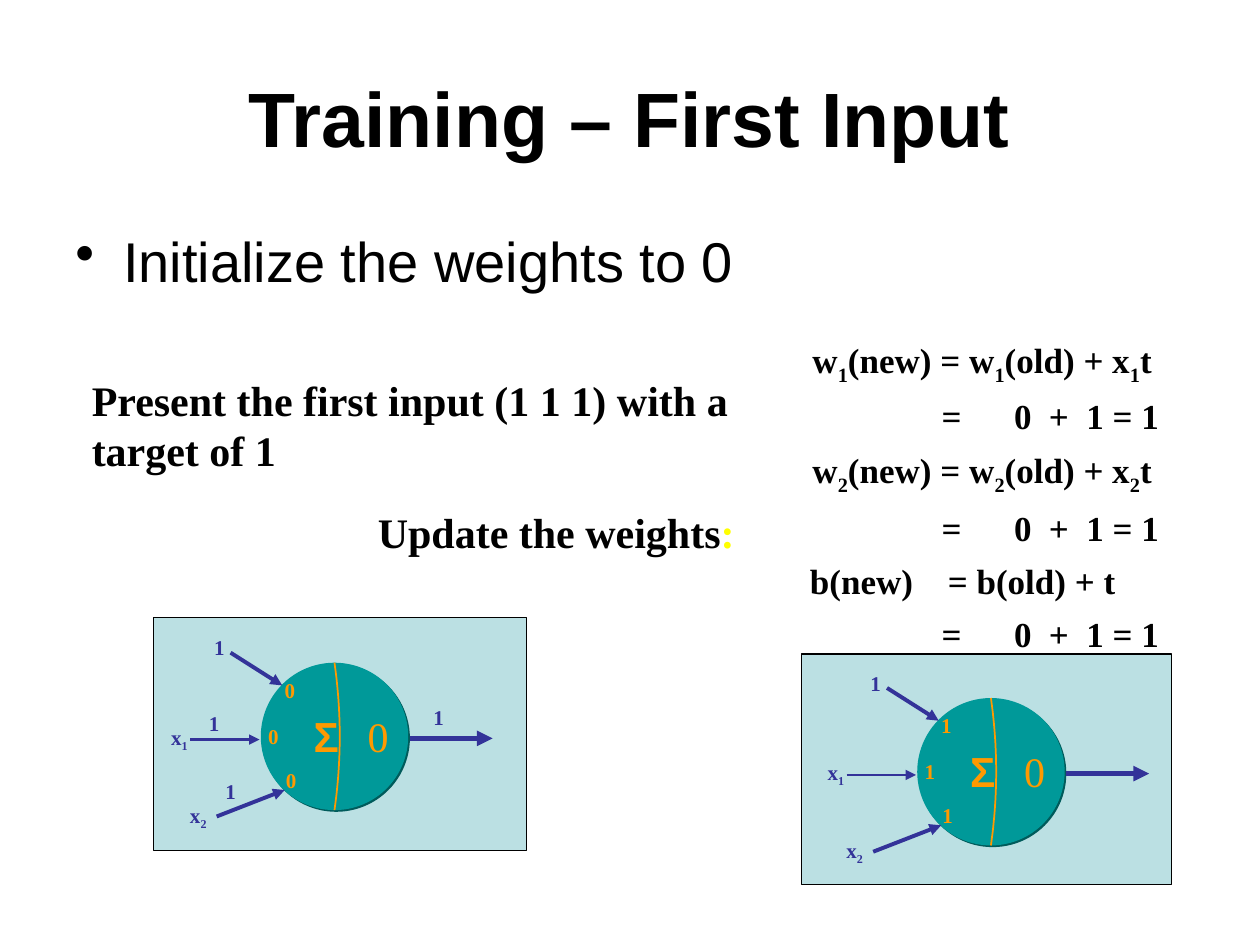
from lxml import etree
from pptx import Presentation
from pptx import util as u
from pptx.dml.color import RGBColor
from pptx.enum import shapes, text
from pptx.oxml import ns

BLACK = RGBColor(0x00, 0x00, 0x00)
PANEL = RGBColor(0xBB, 0xE0, 0xE3)
TEAL = RGBColor(0x00, 0x99, 0x99)
SHADE = RGBColor(0x00, 0x5B, 0x5B)
ORANGE = RGBColor(0xFF, 0x99, 0x00)
NAVY = RGBColor(0x33, 0x33, 0x99)
YELLOW = RGBColor(0xFF, 0xFF, 0x00)
SERIF, SANS = "Times New Roman", "Arial"
CELL = u.Inches(0.1)
BODY_DIAMETER = 11.7


def cells(*counts):
    """Turn counts of grid cells (100 columns by 75 rows) into lengths."""
    return [u.Emu(round(count * CELL)) for count in counts]


def child(parent, tag, **attributes):
    """Append a DrawingML element and return it."""
    return etree.SubElement(parent, ns.qn(f"a:{tag}"), attributes)


def add_runs(paragraph, wording):
    """Write wording, lowering each character that follows an underscore."""
    first, *rest = wording.split("_")
    paragraph.add_run().text = first
    for piece in rest:
        index = paragraph.add_run()
        index.text = piece[0]
        index.font._element.set("baseline", "-25000")
        if piece[1:]:
            paragraph.add_run().text = piece[1:]


def add_text(canvas, box, wording, size, color=BLACK, font=SERIF, bold=True,
             wrap=False, stops=()):
    """Add a one-paragraph text box and return its paragraph."""
    frame = canvas.add_textbox(*cells(*box)).text_frame
    frame.word_wrap = wrap
    paragraph = frame.paragraphs[0]
    if stops:
        tabs = child(paragraph._p.get_or_add_pPr(), "tabLst")
        for stop in cells(*stops):
            child(tabs, "tab", pos=str(stop), algn="l")
    add_runs(paragraph, wording)
    paragraph.font.size = u.Pt(size)
    paragraph.font.name = font
    paragraph.font.bold = bold
    paragraph.font.color.rgb = color
    return paragraph


def add_panel(canvas, box):
    """Add the pale backdrop of a neuron."""
    panel = canvas.add_shape(shapes.MSO_SHAPE.RECTANGLE, *cells(*box))
    panel.shadow.inherit = False
    panel.fill.solid()
    panel.fill.fore_color.rgb = PANEL
    panel.line.color.rgb = BLACK
    panel.line.width = u.Pt(0.75)


def add_arrow(canvas, start, end, width):
    """Add a straight signal arrow."""
    arrow = canvas.add_connector(shapes.MSO_CONNECTOR.STRAIGHT, *cells(*start, *end))
    arrow.line.color.rgb = NAVY
    arrow.line.width = u.Pt(width)
    child(arrow.line._get_or_add_ln(), "tailEnd", type="triangle")
    child(arrow._element.spPr, "effectLst")


def add_body(canvas, left, top):
    """Add the round cell body with its hard-edged shadow."""
    body = canvas.add_shape(shapes.MSO_SHAPE.OVAL,
                            *cells(left, top, BODY_DIAMETER, BODY_DIAMETER))
    body.fill.solid()
    body.fill.fore_color.rgb = TEAL
    body.line.fill.background()
    effects = child(body._element.spPr, "effectLst")
    shadow = child(effects, "outerShdw", dist=str(u.Pt(1.4)), dir="2700000",
                   algn="ctr", rotWithShape="0")
    child(shadow, "srgbClr", val=str(SHADE))


def add_divider(canvas, left, top, steps=32):
    """Add the bowed line between the sum and the activation."""
    points = []
    for step in range(steps + 1):
        t = step / steps
        bow = 2.27 * 3 * t * (1 - t) / 2 * 0.98 / 2 + 0
        points.append(cells(left + 5.85 + bow, top + BODY_DIAMETER * t))
    outline = canvas.build_freeform(*points[0])
    outline.add_line_segments(points[1:], close=False)
    divider = outline.convert_to_shape()
    divider.shadow.inherit = False
    divider.fill.background()
    divider.line.color.rgb = ORANGE
    divider.line.width = u.Pt(1)


def add_neuron(slide, left, top, weights, signals):
    """Add a grouped neuron whose cell body starts at left, top."""
    canvas = slide.shapes.add_group_shape().shapes

    def label(x, y, wording, color, width=2.8, height=3, size=12, **style):
        add_text(canvas, (left + x, top + y, width, height), wording, size, color, **style)

    add_body(canvas, left, top)
    add_divider(canvas, left, top)
    label(7.5, 3.3, "0", ORANGE, 3.6, 5, 24, bold=False)
    label(3.2, 3.3, "Σ", ORANGE, 3.9, 5, 24, font=SANS)
    for (x, y), weight in zip([(0.9, 0.7), (-0.4, 4.3), (1, 7.8)], weights):
        label(x, y, weight, ORANGE)
    for x, y, name in [(-8.1, 4.4, "x_1"), (-6.6, 10.6, "x_2")]:
        label(x, y, name, NAVY, 3.3, 3.3)
    for (x, y), signal in zip([(-4.7, -2.7), (-5.1, 3.3), (-3.8, 8.7), (12.7, 2.8)], signals):
        label(x, y, signal, NAVY)
    for x1, y1, x2, y2, width in [(-2.4, -0.8, 1.7, 1.8, 2.25), (-5.6, 6.1, -0.1, 6.1, 1.5),
                                  (-3.5, 12.2, 1.9, 10.1, 2.25), (11.8, 6, 18.4, 6, 3)]:
        add_arrow(canvas, (left + x1, top + y1), (left + x2, top + y2), width)


def add_headings(canvas):
    """Add the title and the bulleted first step."""
    title = add_text(canvas, (5, 3, 90, 12.5), "Training – First Input", 44,
                     font=SANS, wrap=True)
    title.alignment = text.PP_ALIGN.CENTER
    canvas[-1].text_frame.vertical_anchor = text.MSO_ANCHOR.MIDDLE
    step = add_text(canvas, (5, 17.5, 90, 7.7), "Initialize the weights to 0", 32,
                    font=SANS, bold=False, wrap=True)
    properties = step._p.get_or_add_pPr()
    indent = u.Inches(0.38)
    properties.set("marL", str(indent))
    properties.set("indent", str(-indent))
    properties.insert(0, properties.makeelement(ns.qn("a:buChar"), {"char": "•"}))
    step.space_before = u.Pt(8)


def add_equations(canvas):
    """Add the update rules with their results lined up on tab stops."""
    result, result_stops = "\t=\t0\t+\t1 = 1", (10.45, 16.2, 18.97, 21.95)
    rows = [(63.5, 26.4, "w_1(new) = w_1(old) + x_1t", ()),
            (63.3, 30.8, result, result_stops),
            (63.5, 35.1, "w_2(new) = w_2(old) + x_2t", ()),
            (63.3, 39.7, result, result_stops),
            (63.3, 43.9, "b(new)\t= b(old) + t", (10.95,)),
            (63.3, 48.1, result, result_stops)]
    for left, top, wording, stops in rows:
        add_text(canvas, (left, top, 31, 4.4), wording, 20, wrap=True, stops=stops)


def main():
    """Build and save the slide."""
    deck = Presentation()
    deck.slide_width, deck.slide_height = cells(100, 75)
    slide = deck.slides.add_slide(deck.slide_layouts[6])
    canvas = slide.shapes
    add_panel(canvas, (63.6, 51.9, 29.4, 18.3))
    add_panel(canvas, (12.2, 49, 29.6, 18.5))
    add_headings(canvas)
    add_text(canvas, (6.3, 29.2, 56.1, 9),
             "Present the first input (1 1 1) with a target of 1", 24, wrap=True)
    update = add_text(canvas, (29, 39.7, 30.3, 5), "Update the weights", 24)
    colon = update.add_run()
    colon.text = ":"
    colon.font.color.rgb = YELLOW
    add_equations(canvas)
    add_neuron(slide, 20.7, 52.6, weights="000", signals="1111")
    add_neuron(slide, 72.8, 55.4, weights="111", signals="1")
    deck.save("out.pptx")


if __name__ == "__main__":
    main()
